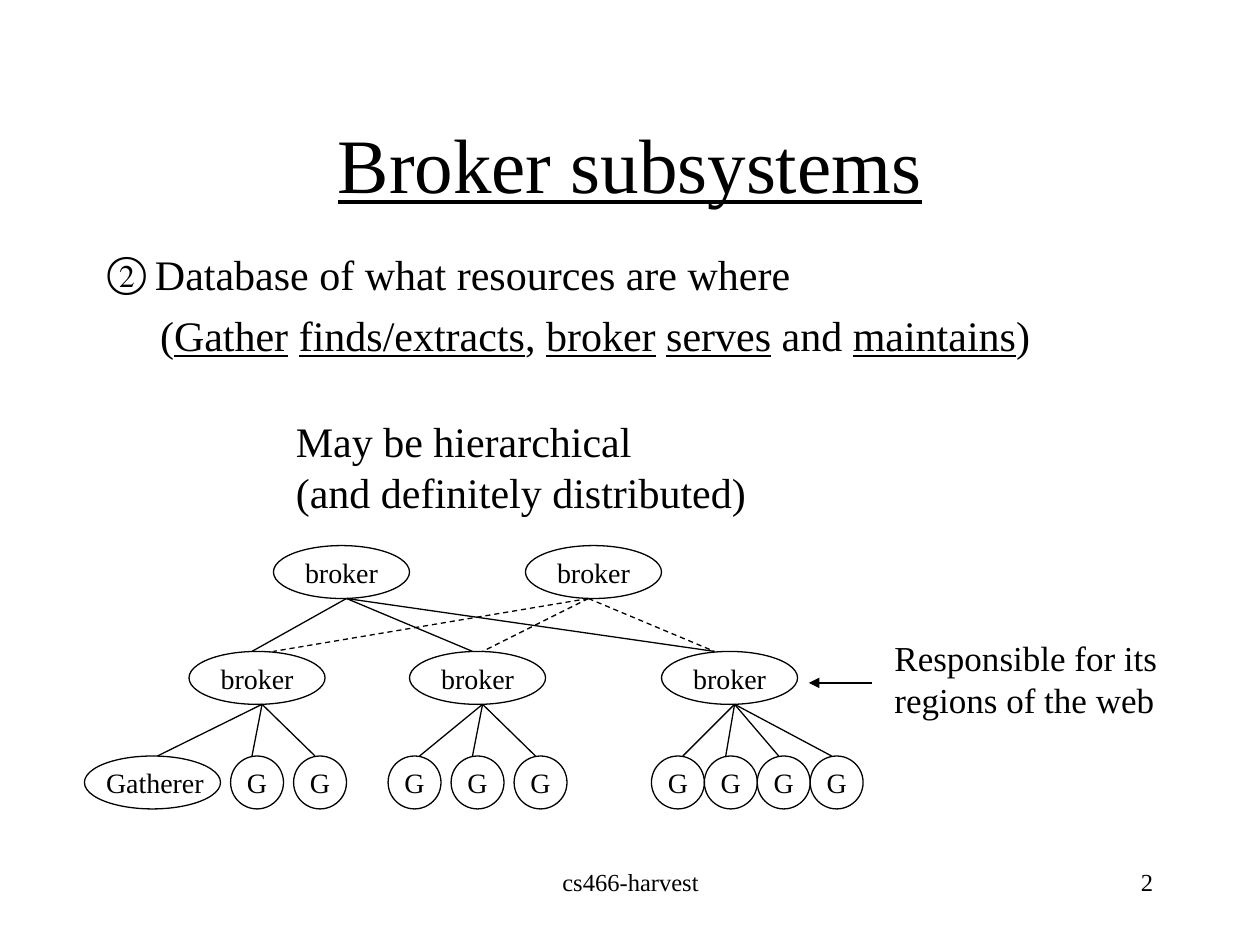
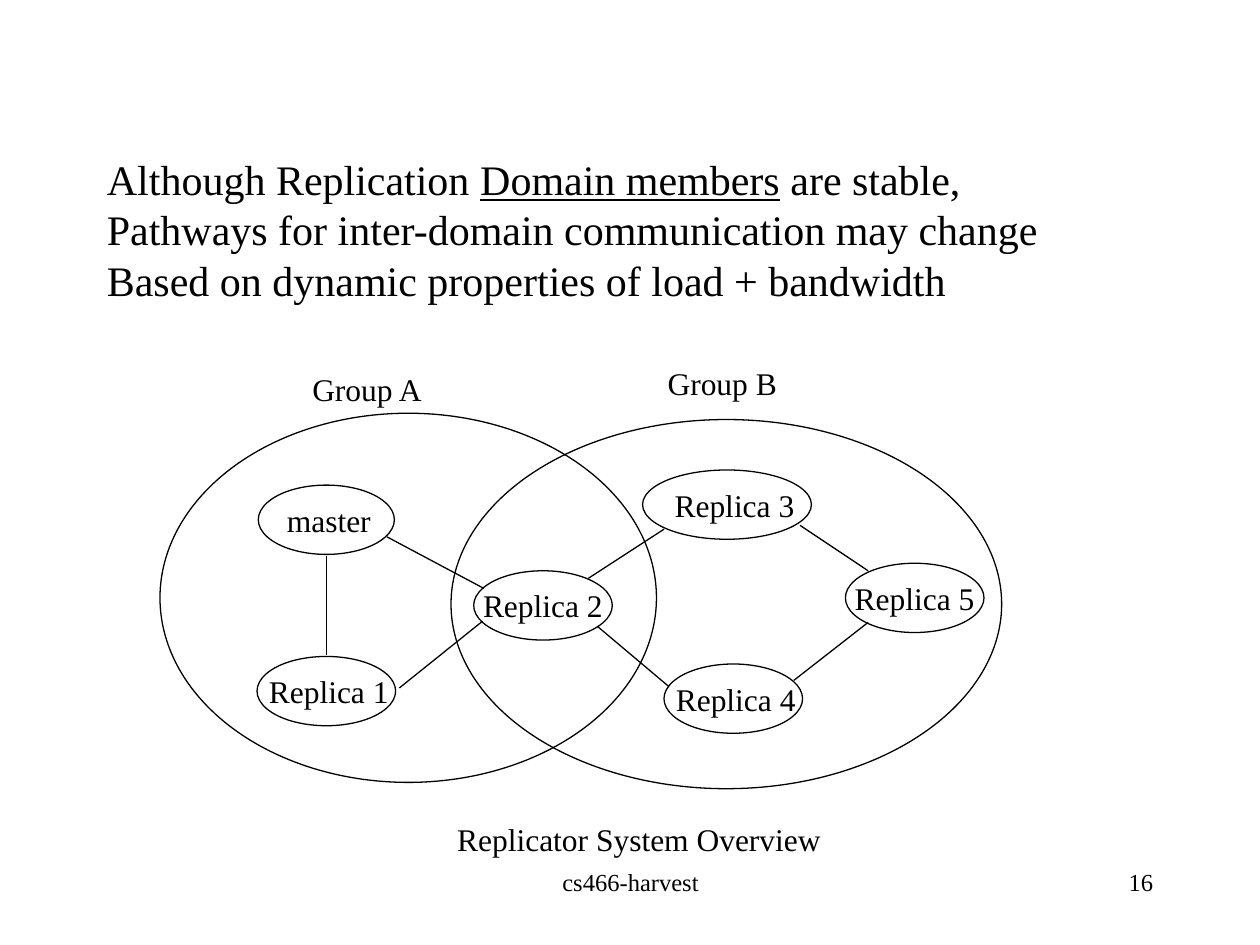
from dataclasses import dataclass
from typing import NamedTuple

from lxml import etree
from pptx import Presentation
from pptx import util as u
from pptx.dml.color import RGBColor
from pptx.enum import dml, shapes, text
from pptx.oxml.ns import qn


@dataclass(frozen=True)
class Theme:
    font: str = "Times New Roman"
    ink: str = "000000"
    line_width: float = 0.75
    title: int = 44
    body: int = 24
    note: int = 20
    diagram: int = 18
    node: int = 16
    footer: int = 14


THEME = Theme()
INK = RGBColor.from_string(THEME.ink)
TITLE_AND_CONTENT, BLANK = 1, 6


class Box(NamedTuple):
    left: float
    top: float
    width: float
    height: float

    def lengths(self) -> list:
        return [u.Inches(value) for value in self]


class Run(NamedTuple):
    words: str
    underline: bool = False


class Node(NamedTuple):
    box: Box
    label: str = ""
    nudge: float = 0  # label shift to the right of the centre


class Link(NamedTuple):
    start: tuple[float, float]
    end: tuple[float, float]
    dashed: bool = False
    arrow: bool = False


class Leaf(NamedTuple):
    left: float
    landing: float  # x where the line from the broker arrives
    label: str = "G"


class Cluster(NamedTuple):
    broker_left: float
    leaves: list[Leaf]


# Shared footer
FOOTER_TEXT = "cs466-harvest"
FOOTER_BOX = Box(3.42, 6.83, 3.17, 0.5)
NUMBER_BOX = Box(7.17, 6.83, 2.08, 0.5)

# Broker hierarchy
BROKER_ROW, REGION_ROW, GATHERER_ROW = 4.33, 5.17, 6.0
OVAL_WIDTH, OVAL_HEIGHT = 1.08, 0.42
APEX_OFFSET = 0.58


def gatherers(first: float, step: float, count: int) -> list[Leaf]:
    """Evenly spaced leaves; the first line lands a little further right."""
    lefts = [first + step * index for index in range(count)]
    return [Leaf(left, left + (0.17 if index else 0.25))
            for index, left in enumerate(lefts)]


CLUSTERS = [
    Cluster(1.5, [Leaf(0.67, 1.25, "Gatherer"), Leaf(1.83, 2.0), Leaf(2.33, 2.5)]),
    Cluster(3.25, gatherers(3.08, 0.5, 3)),
    Cluster(5.25, gatherers(5.17, 0.42, 4)),
]
TOP_LINKS = [
    Link((apex, BROKER_ROW + OVAL_HEIGHT), (landing, REGION_ROW), dashed)
    for apex, landings, dashed in [
        (2.75, (2.0, 3.75, 5.67), False),
        (4.67, (2.17, 3.83, 5.67), True),
    ]
    for landing in landings
]

# Replication groups
REPLICAS = [
    Node(Box(2.05, 3.85, 1.08, 0.55), "master", 0.02),
    Node(Box(3.76, 4.53, 1.1, 0.55), "Replica 2"),
    Node(Box(2.04, 5.21, 1.1, 0.55), "Replica 1", 0.02),
    Node(Box(5.1, 3.73, 1.34, 0.55), "Replica 3", 0.06),
    Node(Box(6.71, 4.47, 1.1, 0.55), "Replica 5"),
    Node(Box(5.27, 5.27, 1.1, 0.55), "Replica 4", 0.02),
]
GROUPS = [Node(Box(1.27, 3.28, 3.94, 2.93)), Node(Box(3.58, 3.33, 4.37, 2.93))]
REPLICA_LINKS = [
    Link((2.59, 4.41), (2.59, 5.2)),
    Link((3.07, 4.26), (3.84, 4.67)),
    Link((3.17, 5.46), (3.83, 4.93)),
    Link((4.67, 4.59), (5.27, 4.2)),
    Link((6.3, 5.4), (6.89, 4.94)),
    Link((6.35, 4.17), (6.89, 4.53)),
    Link((4.74, 4.97), (5.31, 5.45)),
]
DIAGRAM_LABELS = [
    ("Group A", Box(2.38, 2.89, 1.08, 0.4)),
    ("Group B", Box(5.2, 2.84, 1.07, 0.4)),
    ("Replicator System Overview", Box(3.53, 6.46, 3.09, 0.4)),
]


def write(frame, lines: list[list[Run]], size: int, align=text.PP_ALIGN.LEFT) -> None:
    for index, runs in enumerate(lines):
        paragraph = frame.add_paragraph() if index else frame.paragraphs[0]
        paragraph.alignment = align
        for words, underline in runs:
            run = paragraph.add_run()
            run.text = words
            run.font.name = THEME.font
            run.font.size = u.Pt(size)
            run.font.color.rgb = INK
            run.font.underline = underline


def add_text(slide, box: Box, lines: list[list[Run]], size: int) -> None:
    """Left-aligned text box that fits its unwrapped lines."""
    frame = slide.shapes.add_textbox(*box.lengths()).text_frame
    frame.word_wrap = False
    frame.auto_size = text.MSO_AUTO_SIZE.SHAPE_TO_FIT_TEXT
    write(frame, lines, size)


def add_footer(slide, number: int) -> None:
    for box, words, align in [
        (FOOTER_BOX, FOOTER_TEXT, text.PP_ALIGN.CENTER),
        (NUMBER_BOX, str(number), text.PP_ALIGN.RIGHT),
    ]:
        frame = slide.shapes.add_textbox(*box.lengths()).text_frame
        frame.word_wrap = True
        write(frame, [[Run(words)]], THEME.footer, align)


def style_line(line) -> None:
    line.color.rgb = INK
    line.width = u.Pt(THEME.line_width)


def add_node(slide, node: Node, size: int) -> None:
    shape = slide.shapes.add_shape(shapes.MSO_SHAPE.OVAL, *node.box.lengths())
    shape.shadow.inherit = False
    shape.fill.background()
    style_line(shape.line)
    if node.label:
        frame = shape.text_frame
        frame.word_wrap = False
        frame.vertical_anchor = text.MSO_ANCHOR.MIDDLE
        frame.margin_top = frame.margin_bottom = frame.margin_right = 0
        frame.margin_left = u.Inches(2 * node.nudge)
        write(frame, [[Run(node.label)]], size, text.PP_ALIGN.CENTER)


def add_link(slide, link: Link) -> None:
    ends = [u.Inches(value) for value in (*link.start, *link.end)]
    connector = slide.shapes.add_connector(shapes.MSO_CONNECTOR.STRAIGHT, *ends)
    style_line(connector.line)
    if link.dashed:
        connector.line.dash_style = dml.MSO_LINE.DASH
    properties = connector.element.spPr
    if link.arrow:
        etree.SubElement(properties.find(qn("a:ln")), qn("a:tailEnd"), type="triangle")
    etree.SubElement(properties, qn("a:effectLst"))


def fill_placeholder(shape, box: Box, lines: list[list[Run]], size: int, align, anchor) -> None:
    shape.left, shape.top, shape.width, shape.height = box.lengths()
    frame = shape.text_frame
    frame.auto_size = text.MSO_AUTO_SIZE.NONE
    frame.vertical_anchor = anchor
    write(frame, lines, size, align)


def set_bullet(paragraph, left: float, hanging: float, symbol: str = "") -> None:
    paragraph.space_before = u.Pt(6)
    properties = paragraph._p.get_or_add_pPr()
    properties.set("marL", str(u.Inches(left)))
    properties.set("indent", str(-u.Inches(hanging)))
    if symbol:
        colour = etree.SubElement(properties, qn("a:buClr"))
        etree.SubElement(colour, qn("a:srgbClr"), val=THEME.ink)
        etree.SubElement(properties, qn("a:buFont"), typeface=THEME.font)
        etree.SubElement(properties, qn("a:buChar"), char=symbol)
    else:
        etree.SubElement(properties, qn("a:buNone"))


def build_broker_slide(presentation) -> None:
    slide = presentation.slides.add_slide(presentation.slide_layouts[TITLE_AND_CONTENT])
    fill_placeholder(slide.shapes.title, Box(0.75, 0.67, 8.5, 1.25),
                     [[Run("Broker subsystems", True)]], THEME.title,
                     text.PP_ALIGN.CENTER, text.MSO_ANCHOR.MIDDLE)
    body = slide.placeholders[1]
    fill_placeholder(body, Box(0.75, 1.92, 8.5, 2), [
        [Run("Database of what resources are where")],
        [Run("("), Run("Gather", True), Run(" "), Run("finds/extracts", True),
         Run(", "), Run("broker", True), Run(" "), Run("serves", True),
         Run(" and "), Run("maintains", True), Run(")")],
    ], THEME.body, text.PP_ALIGN.LEFT, text.MSO_ANCHOR.TOP)
    database, explanation = body.text_frame.paragraphs
    set_bullet(database, 0.38, 0.38, "②")
    set_bullet(explanation, 0.42, 0)

    add_text(slide, Box(2.25, 3.25, 3.77, 0.9),
             [[Run("May be hierarchical")], [Run("(and definitely distributed)")]], THEME.body)
    for left in (2.17, 4.17):
        add_node(slide, Node(Box(left, BROKER_ROW, OVAL_WIDTH, OVAL_HEIGHT), "broker"), THEME.node)
    for link in TOP_LINKS:
        add_link(slide, link)
    for cluster in CLUSTERS:
        region = Box(cluster.broker_left, REGION_ROW, OVAL_WIDTH, OVAL_HEIGHT)
        add_node(slide, Node(region, "broker"), THEME.node)
        apex = (cluster.broker_left + APEX_OFFSET, REGION_ROW + OVAL_HEIGHT)
        for leaf in cluster.leaves:
            named = leaf.label != "G"
            width = OVAL_WIDTH if named else OVAL_HEIGHT
            box = Box(leaf.left, GATHERER_ROW, width, OVAL_HEIGHT)
            add_node(slide, Node(box, leaf.label, 0.02 if named else 0), THEME.node)
            add_link(slide, Link(apex, (leaf.landing, GATHERER_ROW)))
    add_text(slide, Box(7, 5, 2.29, 0.77),
             [[Run("Responsible for its")], [Run("regions of the web")]], THEME.note)
    add_link(slide, Link((6.92, 5.42), (6.42, 5.42), arrow=True))
    add_footer(slide, 2)


def build_replication_slide(presentation) -> None:
    slide = presentation.slides.add_slide(presentation.slide_layouts[BLANK])
    add_text(slide, Box(0.75, 1.17, 7.59, 1.3), [
        [Run("Although Replication "), Run("Domain members", True), Run(" are stable,")],
        [Run("Pathways for inter-domain communication may change")],
        [Run("Based on dynamic properties of load + bandwidth")],
    ], THEME.body)
    for node in REPLICAS + GROUPS:
        add_node(slide, node, THEME.diagram)
    for link in REPLICA_LINKS:
        add_link(slide, link)
    for words, box in DIAGRAM_LABELS:
        add_text(slide, box, [[Run(words)]], THEME.diagram)
    add_footer(slide, 16)


def main() -> None:
    presentation = Presentation()
    presentation.slide_width = u.Inches(10)
    presentation.slide_height = u.Inches(7.5)
    build_broker_slide(presentation)
    build_replication_slide(presentation)
    presentation.save("out.pptx")


if __name__ == "__main__":
    main()
